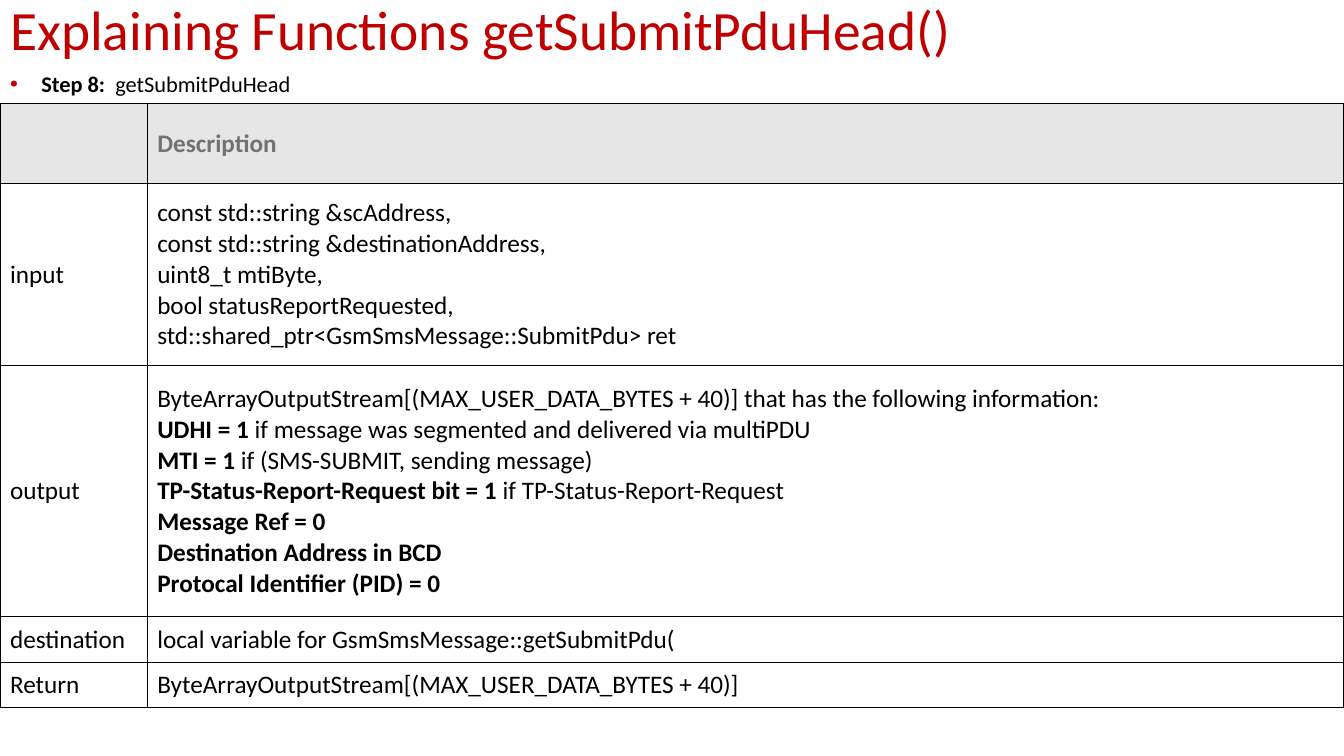
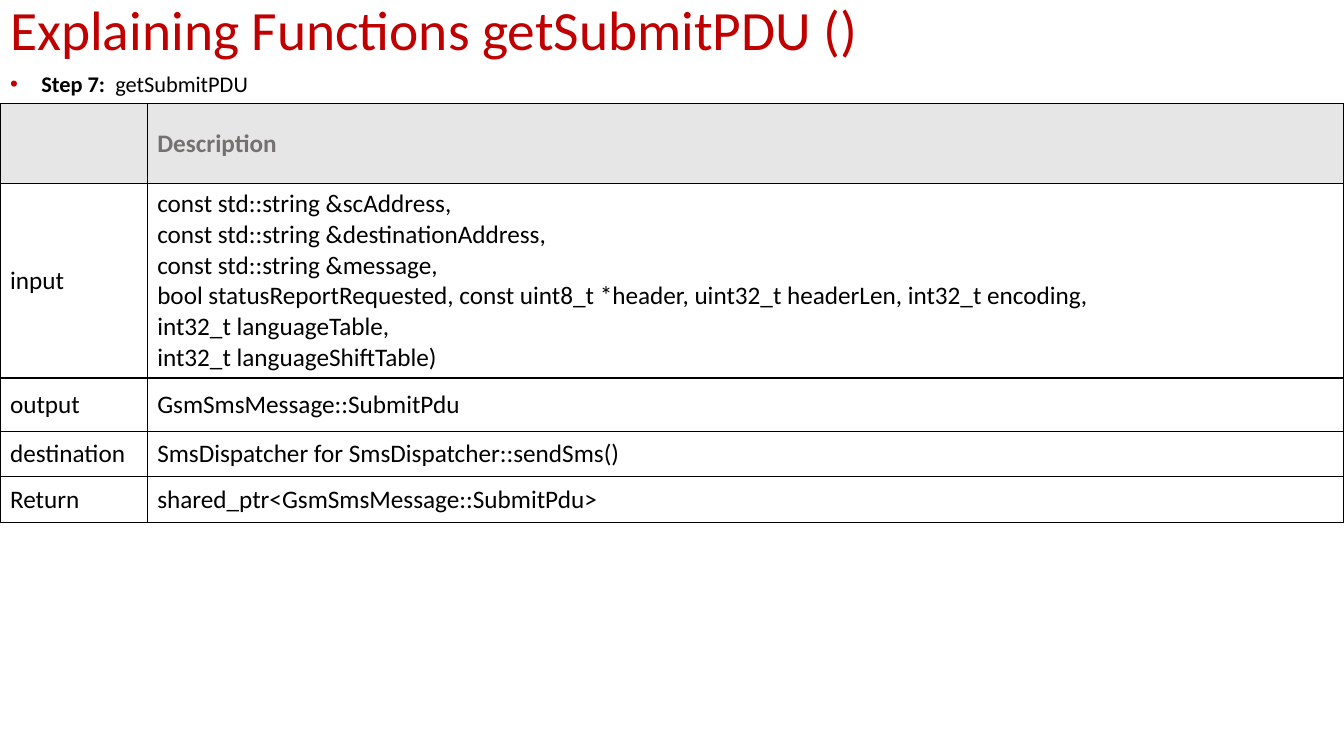
from dataclasses import dataclass

from lxml import etree
from pptx import Presentation
from pptx.dml.color import RGBColor
from pptx.enum.text import MSO_ANCHOR, MSO_AUTO_SIZE, PP_ALIGN
from pptx.oxml.ns import qn
from pptx.util import Inches, Pt

MIDDLE = MSO_ANCHOR.MIDDLE
TOP = MSO_ANCHOR.TOP
NO_AUTOFIT = MSO_AUTO_SIZE.NONE
LEFT = PP_ALIGN.LEFT


@dataclass(frozen=True)
class Theme:
    font: str = "Calibri"
    accent: str = "C00000"
    text: str = "000000"
    header_text: str = "767171"
    header_fill: str = "E7E6E6"
    border: str = "000000"
    title_size: float = 39.6
    step_size: float = 16
    table_size: float = 18
    border_width: float = 1


THEME = Theme()
PAGE_WIDTH = 13.33
TITLE_HEIGHT = 0.65
STEP_HEIGHT = 0.37
TABLE_TOP = 1.03
COLUMN_WIDTHS = (1.46, 11.87)
ROW_LABELS = ("", "input", "output", "destination", "Return")
BULLET_INDENT = Inches(0.31)

PAGES = [
    {
        "title": "Explaining Functions getSubmitPduHead()",
        "step": ("Step 8:  ", "getSubmitPduHead"),
        "heights": (0.79, 1.81, 2.49, 0.45, 0.45),
        "descriptions": [
            ["Description"],
            [
                "const std::string &scAddress,",
                "const std::string &destinationAddress,",
                "uint8_t mtiByte,",
                "bool statusReportRequested,",
                "std::shared_ptr<GsmSmsMessage::SubmitPdu> ret",
            ],
            [
                "ByteArrayOutputStream[(MAX_USER_DATA_BYTES + 40)] that has the following information:",
                ("UDHI = 1 ", "if message was segmented and delivered via multiPDU"),
                ("MTI = 1 ", "if (SMS-SUBMIT, sending message)"),
                ("TP-Status-Report-Request bit = 1 ", "if TP-Status-Report-Request"),
                ("Message Ref = 0",),
                ("Destination Address in BCD",),
                ("Protocal Identifier (PID) = 0",),
            ],
            ["local variable for GsmSmsMessage::getSubmitPdu("],
            ["ByteArrayOutputStream[(MAX_USER_DATA_BYTES + 40)]"],
        ],
    },
    {
        "title": "Explaining Functions getSubmitPDU ()",
        "step": ("Step 7:  ", "getSubmitPDU"),
        "heights": (0.79, 1.81, 0.53, 0.45, 0.45),
        "descriptions": [
            ["Description"],
            [
                "const std::string &scAddress,",
                "const std::string &destinationAddress,",
                "const std::string &message,",
                "bool statusReportRequested, const uint8_t *header, uint32_t headerLen, int32_t encoding,",
                "int32_t languageTable,",
                "int32_t languageShiftTable)",
            ],
            ["GsmSmsMessage::SubmitPdu"],
            ["SmsDispatcher for SmsDispatcher::sendSms()"],
            ["shared_ptr<GsmSmsMessage::SubmitPdu>"],
        ],
    },
]


def write(frame, lines, size, color=THEME.text, bold=False, spacing=1.0):
    for index, line in enumerate(lines):
        para = frame.paragraphs[0] if index == 0 else frame.add_paragraph()
        para.alignment = LEFT
        para.line_spacing = spacing
        para.space_before = Pt(0)
        parts = [(line, bold)] if isinstance(line, str) else zip(line, (True, False))
        for text, heavy in parts:
            span = para.add_run()
            span.text = text
            span.font.name = THEME.font
            span.font.size = Pt(size)
            span.font.bold = heavy
            span.font.color.rgb = RGBColor.from_string(color)


def add_borders(cell):
    properties = cell._tc.get_or_add_tcPr()
    for side in ("a:lnL", "a:lnR", "a:lnT", "a:lnB"):
        line = etree.SubElement(properties, qn(side), w=str(Pt(THEME.border_width)))
        fill = etree.SubElement(line, qn("a:solidFill"))
        etree.SubElement(fill, qn("a:srgbClr"), val=THEME.border)


deck = Presentation()
deck.slide_width = Inches(PAGE_WIDTH)
deck.slide_height = Inches(7.5)

for content in PAGES:
    page = deck.slides.add_slide(deck.slide_layouts[1])
    title, step = page.shapes.title, page.placeholders[1]
    for box, top, height, anchor in (
        (title, 0, TITLE_HEIGHT, MIDDLE),
        (step, TITLE_HEIGHT, STEP_HEIGHT, TOP),
    ):
        box.left, box.top = Inches(0), Inches(top)
        box.width, box.height = Inches(PAGE_WIDTH), Inches(height)
        box.text_frame.auto_size = NO_AUTOFIT
        box.text_frame.vertical_anchor = anchor

    write(title.text_frame, [content["title"]], THEME.title_size, color=THEME.accent, spacing=0.9)
    write(step.text_frame, [content["step"]], THEME.step_size)

    bullet = step.text_frame.paragraphs[0]._p.get_or_add_pPr()
    bullet.set("marL", str(BULLET_INDENT))
    bullet.set("indent", str(-BULLET_INDENT))
    bullet_color = etree.SubElement(bullet, qn("a:buClr"))
    etree.SubElement(bullet_color, qn("a:srgbClr"), val=THEME.accent)
    etree.SubElement(bullet, qn("a:buFont"), typeface="Arial")
    etree.SubElement(bullet, qn("a:buChar"), char="•")

    heights = content["heights"]
    table = page.shapes.add_table(
        len(heights), len(COLUMN_WIDTHS),
        Inches(0), Inches(TABLE_TOP), Inches(PAGE_WIDTH), Inches(sum(heights)),
    ).table
    table.first_row = False
    table.horz_banding = False
    for column, width in zip(table.columns, COLUMN_WIDTHS):
        column.width = Inches(width)

    for row_index, (label, lines) in enumerate(zip(ROW_LABELS, content["descriptions"])):
        table.rows[row_index].height = Inches(heights[row_index])
        is_header = row_index == 0
        for column_index, cell_lines in enumerate(([label] if label else [], lines)):
            cell = table.cell(row_index, column_index)
            cell.vertical_anchor = MIDDLE
            add_borders(cell)
            if is_header:
                cell.fill.solid()
                cell.fill.fore_color.rgb = RGBColor.from_string(THEME.header_fill)
            else:
                cell.fill.background()
            write(
                cell.text_frame, cell_lines, THEME.table_size,
                color=THEME.header_text if is_header else THEME.text, bold=is_header,
            )

deck.save("out.pptx")
